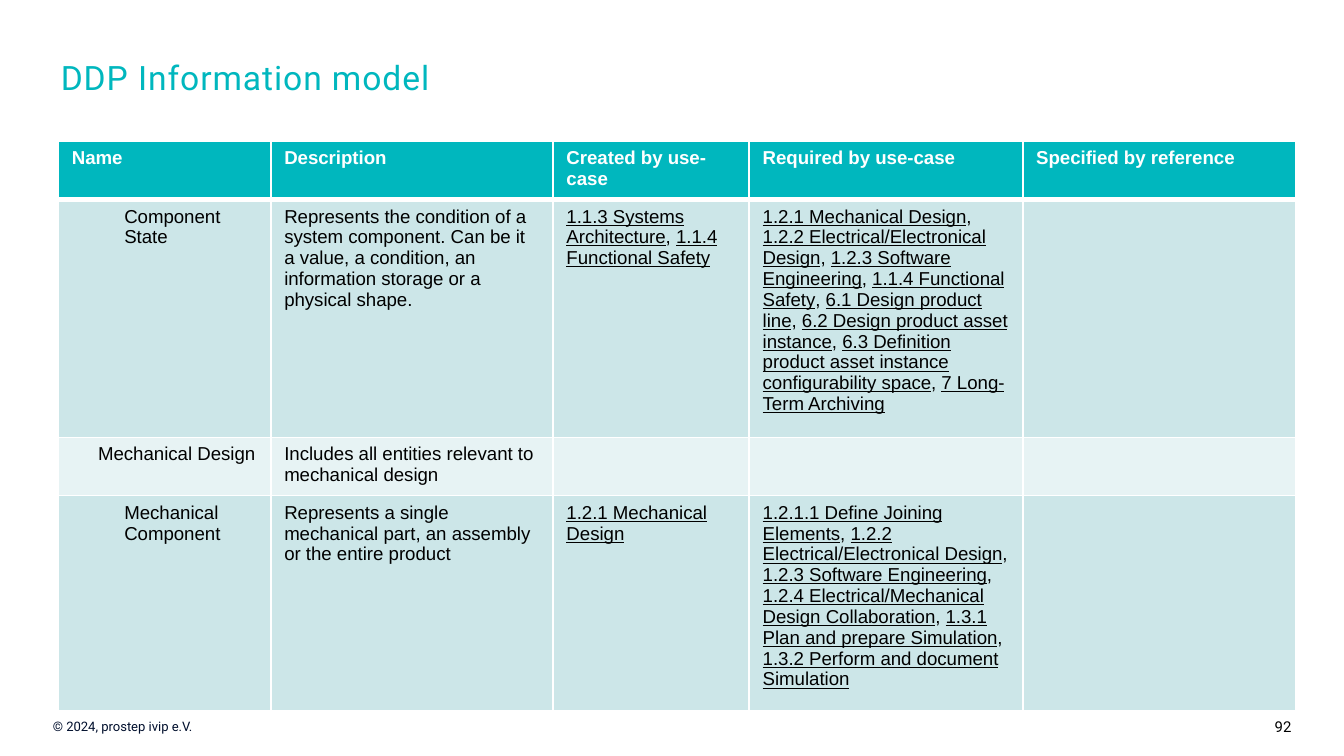
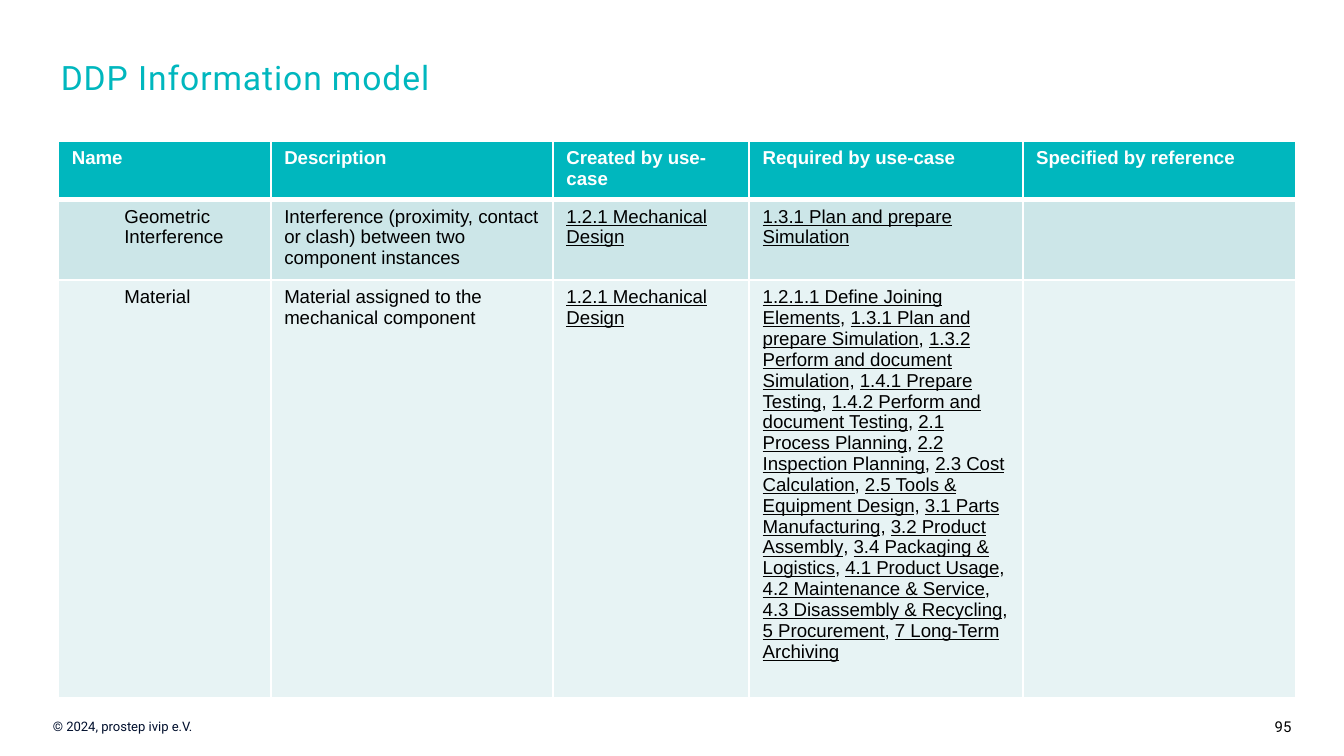
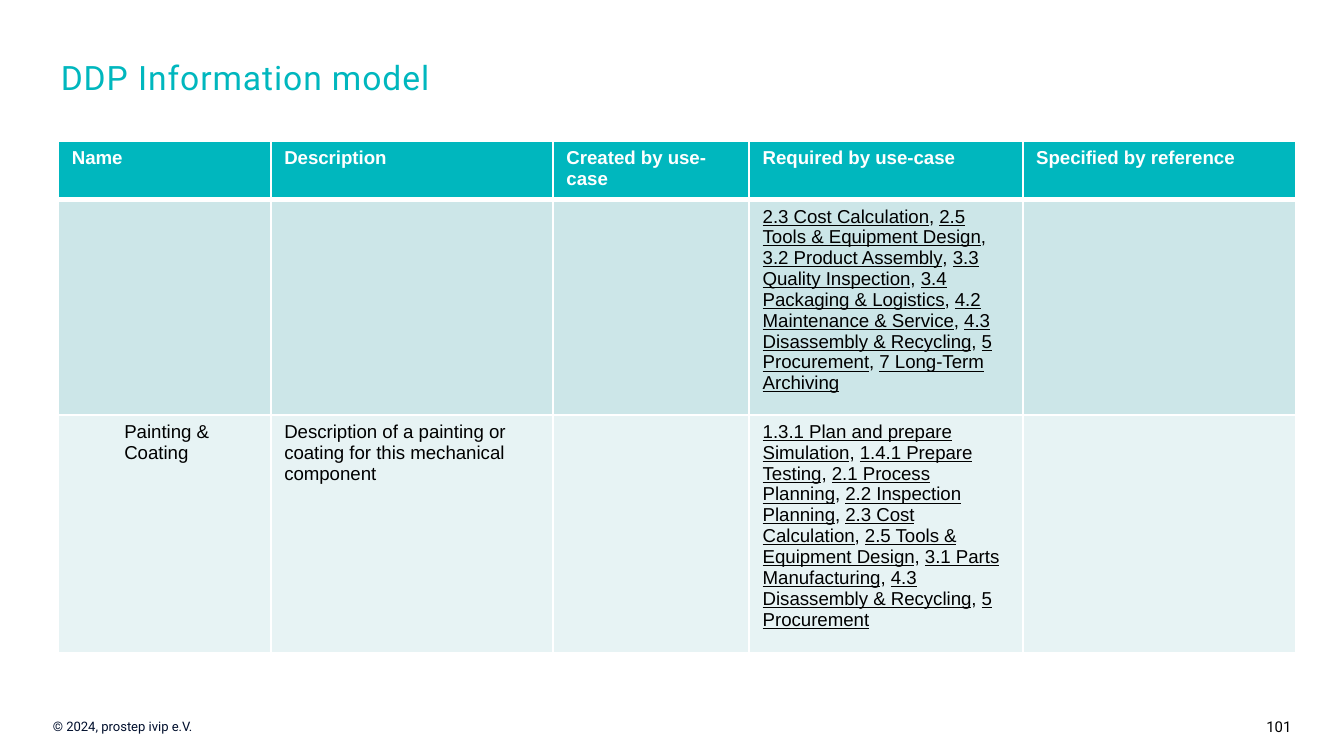
from lxml.etree import SubElement as Sub
from pptx import Presentation as Deck
from pptx.dml.color import RGBColor as Rgb
from pptx.enum.text import MSO_AUTO_SIZE as Fit, PP_ALIGN as Align
from pptx.oxml.ns import qn
from pptx.util import Inches, Pt

HUES = {
    "teal": "00B7BE", "navy": "000F2D", "black": "000000",
    "white": "FFFFFF", "mid": "CCE6E8", "pale": "E7F3F4",
}
HEADS = ["Name", "Description", "Created by use-case",
         "Required by use-case", "Specified by reference"]
COLS = [15.8, 21, 14.6, 20.35, 20.35]
CASES = {
    "1.1.3": "Systems Architecture",
    "1.1.4": "Functional Safety",
    "1.2.1": "Mechanical Design",
    "1.2.1.1": "Define Joining Elements",
    "1.2.2": "Electrical/Electronical Design",
    "1.2.3": "Software Engineering",
    "1.2.4": "Electrical/Mechanical Design Collaboration",
    "1.3.1": "Plan and prepare Simulation",
    "1.3.2": "Perform and document Simulation",
    "1.4.1": "Prepare Testing",
    "1.4.2": "Perform and document Testing",
    "2.1": "Process Planning",
    "2.2": "Inspection Planning",
    "2.3": "Cost Calculation",
    "2.5": "Tools & Equipment Design",
    "3.1": "Parts Manufacturing",
    "3.2": "Product Assembly",
    "3.3": "Quality Inspection",
    "3.4": "Packaging & Logistics",
    "4.1": "Product Usage",
    "4.2": "Maintenance & Service",
    "4.3": "Disassembly & Recycling",
    "5": "Procurement",
    "6.1": "Design product line",
    "6.2": "Design product asset instance",
    "6.3": "Definition product asset instance configurability space",
    "7": "Long-Term Archiving",
}
PAGES = [
    (92, [
        (16.7, 2, "Component State",
         "Represents the condition of a system component. Can be it a value, "
         "a condition, an information storage or a physical shape.",
         "1.1.3 1.1.4", "1.2.1 1.2.2 1.2.3 1.1.4 6.1 6.2 6.3 7"),
        (3.3, 1, "Mechanical Design",
         "Includes all entities relevant to mechanical design", "", ""),
        (15, 2, "Mechanical Component",
         "Represents a single mechanical part, an assembly or the entire product",
         "1.2.1", "1.2.1.1 1.2.2 1.2.3 1.2.4 1.3.1 1.3.2"),
    ]),
    (95, [
        (5, 2, "Geometric Interference",
         "Interference (proximity, contact or clash) between two component instances",
         "1.2.1", "1.3.1"),
        (30, 2, "Material", "Material assigned to the mechanical component",
         "1.2.1", "1.2.1.1 1.3.1 1.3.2 1.4.1 1.4.2 2.1 2.2 2.3 2.5 "
         "3.1 3.2 3.4 4.1 4.2 4.3 5 7"),
    ]),
    (101, [
        (1.6, 0, "", "", "", "2.3 2.5 3.2 3.3 3.4 4.2 4.3 5 7"),
        (16.7, 2, "Painting & Coating",
         "Description of a painting or coating for this mechanical component",
         "", "1.3.1 1.4.1 2.1 2.2 2.3 2.5 3.1 4.3 5"),
    ]),
]


class Maker:
    def __init__(self):
        self.deck = Deck()
        self.deck.slide_width = Inches(10)
        self.deck.slide_height = self.deck.slide_width * 9 // 16
        self.unit = self.deck.slide_width / 100

    def grid(self, *spans):
        return [round(span * self.unit) for span in spans]

    def page(self):
        self.slide = self.deck.slides.add_slide(self.deck.slide_layouts[6])

    def style(self, run, size, hue, face="Arial", bold=False, line=False):
        font = run.font
        font.size, font.name = Pt(size), face
        font.bold, font.underline = bold, line
        font.color.rgb = Rgb.from_string(HUES[hue])

    def label(self, text, spot, size, hue, pads=(1, 1), align=Align.LEFT,
              gap=0, fit=Fit.NONE):
        frame = self.slide.shapes.add_textbox(*self.grid(*spot)).text_frame
        frame.word_wrap, frame.auto_size = True, fit
        frame.margin_left, frame.margin_right = self.grid(*pads)
        frame.text = text
        para = frame.paragraphs[0]
        para.alignment = align
        run = para.runs[0]
        self.style(run, size, hue, "Roboto")
        if gap:
            run.font._element.set("spc", str(gap))

    def edge(self, cell, top, base):
        props = cell._tc.get_or_add_tcPr()
        sides = {"L": 1, "R": 1, "T": top, "B": base}
        for spot, (side, size) in enumerate(sides.items()):
            line = Sub(props, qn(f"a:ln{side}"), w=str(Pt(size)))
            fill = Sub(line, qn("a:solidFill"))
            Sub(fill, qn("a:srgbClr"), val=HUES["white"])
            props.insert(spot, line)

    def cell(self, cell, fill, text="", hue="black", bold=False, level=0,
             top=1, base=1):
        cell.fill.solid()
        cell.fill.fore_color.rgb = Rgb.from_string(HUES[fill])
        cell.margin_left, = self.grid(1 + 1.95 * level)
        self.edge(cell, top, base)
        if text:
            cell.text_frame.text = text
            self.style(cell.text_frame.paragraphs[0].runs[0], 10, hue, bold=bold)

    def cases(self, cell, keys):
        para = cell.text_frame.paragraphs[0]
        for spot, key in enumerate(keys.split()):
            parts = [(f"{key} {CASES[key]}", True)]
            if spot:
                parts.insert(0, (", ", False))
            for text, line in parts:
                run = para.add_run()
                run.text = text
                self.style(run, 10, "black", line=line)

    def table(self, rows):
        highs = [1.6] + [row[0] for row in rows]
        spot = self.grid(4.35, 10.5, sum(COLS), 10.3)
        shape = self.slide.shapes.add_table(len(highs), len(COLS), *spot)
        table = shape.table
        table.horz_banding = False
        for col, wide in zip(table.columns, self.grid(*COLS)):
            col.width = wide
        for row, high in zip(table.rows, self.grid(*highs)):
            row.height = high
        shape.height = spot[-1]
        for col, head in enumerate(HEADS):
            self.cell(table.cell(0, col), "teal", head, "white", True, base=3)
        for at, (_, level, name, about, made, need) in enumerate(rows, 1):
            fill = "mid" if at % 2 else "pale"
            top = 3 if at == 1 else 1
            for col, text in enumerate([name, about, "", "", ""]):
                self.cell(table.cell(at, col), fill, text,
                          level=0 if col else level, top=top)
            self.cases(table.cell(at, 2), made)
            self.cases(table.cell(at, 3), need)

    def frame(self, number):
        self.label(str(number), (90.9, 52.9, 9.1, 2.4), 8, "black",
                   (1, 3.9), Align.RIGHT, fit=Fit.SHAPE_TO_FIT_TEXT)
        self.label("© 2024, prostep ivip e.V.", (0, 52.95, 24, 2.2), 7, "navy",
                   (3.94, 1), fit=Fit.SHAPE_TO_FIT_TEXT)
        self.label("DDP Information model", (3.54, 3.74, 74.9, 6.8), 18, "teal",
                   gap=50)


def main():
    maker = Maker()
    for number, rows in PAGES:
        maker.page()
        maker.frame(number)
        maker.table(rows)
    maker.deck.save("out.pptx")


if __name__ == "__main__":
    main()
